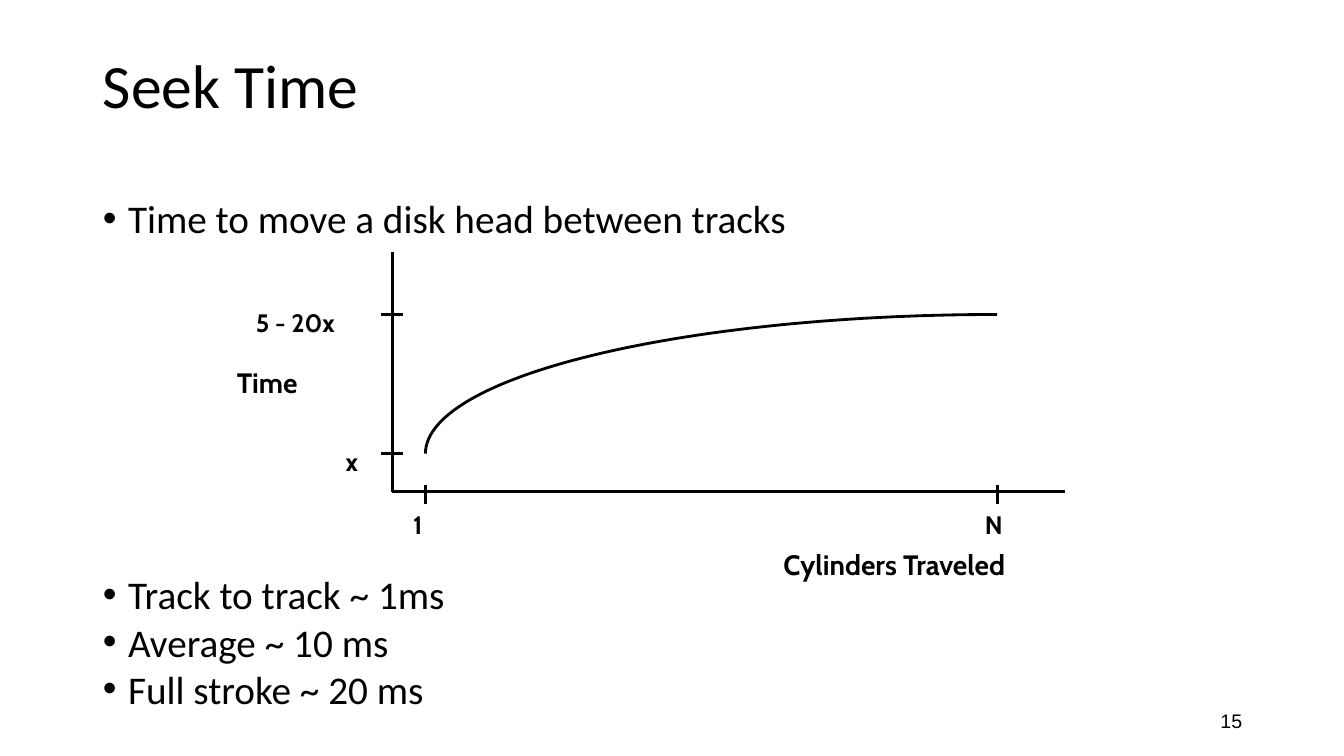
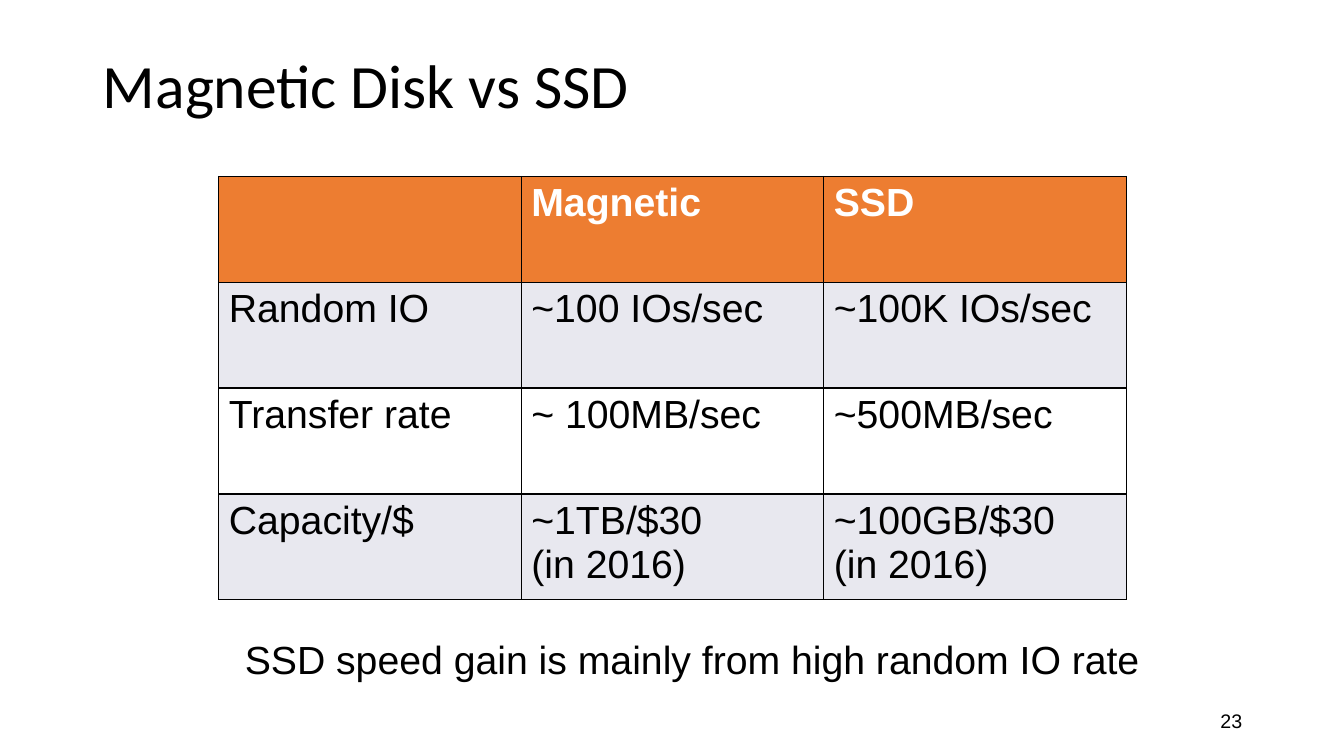
from math import cos, pi, sin

from lxml import etree
from pptx import Presentation
from pptx.dml.color import RGBColor
from pptx.enum.shapes import MSO_CONNECTOR
from pptx.enum.text import MSO_ANCHOR, MSO_AUTO_SIZE, PP_ALIGN
from pptx.oxml.ns import qn
from pptx.util import Inches, Pt

BLACK = RGBColor(0x00, 0x00, 0x00)
WHITE = RGBColor(0xFF, 0xFF, 0xFF)
ORANGE = RGBColor(0xED, 0x7D, 0x31)
PALE_GREY = RGBColor(0xE8, 0xE8, 0xEF)

STRAIGHT = MSO_CONNECTOR.STRAIGHT
LEFT, RIGHT = PP_ALIGN.LEFT, PP_ALIGN.RIGHT
TOP, MIDDLE = MSO_ANCHOR.TOP, MSO_ANCHOR.MIDDLE
NO_FIT = MSO_AUTO_SIZE.NONE

LINE_WIDTH = Pt(2)
BULLET_LINE = 33.6
TITLE_LAYOUT, LIST_LAYOUT = 5, 1

TITLE = {"name": "Calibri", "size": Pt(44), "color": BLACK}
BODY = {"name": "Calibri", "size": Pt(28), "color": BLACK}
TICK_LABEL = {"name": "Cabin", "size": Pt(18), "color": BLACK, "bold": True}
AXIS_LABEL = {**TICK_LABEL, "size": Pt(20)}
PAGE_NUMBER = {"name": "Arial", "size": Pt(14), "color": BLACK}
CELL = {"name": "Arial", "size": Pt(28), "color": BLACK, "bold": False}
HEADER_CELL = {**CELL, "color": WHITE, "bold": True}


class Deck:
    def __init__(self):
        self.deck = Presentation()
        self.deck.slide_width = Inches(13.33)
        self.deck.slide_height = Inches(7.5)
        self.page = None

    def add_page(self, layout, title, number):
        self.page = self.deck.slides.add_slide(self.deck.slide_layouts[layout])
        box = self.page.shapes.title
        self.place(box, 0.92, 0.33, 11.5, 1.09)
        self.fill_text(box.text_frame, title, TITLE, anchor=MIDDLE)
        box.text_frame.paragraphs[0].line_spacing = 0.9
        self.label(number, 9.42, 6.95, 3, 0.4, PAGE_NUMBER, RIGHT, MIDDLE)

    def place(self, box, left, top, width, height):
        box.left, box.top = Inches(left), Inches(top)
        box.width, box.height = Inches(width), Inches(height)

    def format_font(self, para, style):
        for span in para.runs:
            for key, value in style.items():
                if key == "color":
                    span.font.color.rgb = value
                else:
                    setattr(span.font, key, value)

    def fill_text(self, frame, text, style, align=LEFT, anchor=TOP):
        frame.word_wrap = True
        frame.auto_size = NO_FIT
        frame.vertical_anchor = anchor
        para = frame.paragraphs[0]
        para.text = text
        para.alignment = align
        self.format_font(para, style)

    def label(self, text, left, top, width, height, style, align=LEFT, anchor=TOP):
        sides = [Inches(side) for side in (left, top, width, height)]
        box = self.page.shapes.add_textbox(*sides)
        self.fill_text(box.text_frame, text, style, align, anchor)

    def bullets(self, items, left, top, width, height):
        box = self.page.placeholders[1]
        self.place(box, left, top, width, height)
        frame = box.text_frame
        frame.auto_size = NO_FIT
        frame.vertical_anchor = TOP
        for index, (text, skipped_lines) in enumerate(items):
            para = frame.add_paragraph() if index else frame.paragraphs[0]
            para.text = text
            para.line_spacing = Pt(BULLET_LINE)
            para.space_before = Pt(BULLET_LINE * skipped_lines)
            para.space_after = Pt(0)
            properties = para._p.get_or_add_pPr()
            properties.set("marL", str(Inches(0.25)))
            properties.set("indent", str(-Inches(0.25)))
            etree.SubElement(properties, qn("a:buFont"), typeface="Arial")
            etree.SubElement(properties, qn("a:buChar"), char="•")
            self.format_font(para, BODY)

    def line(self, *ends):
        connector = self.page.shapes.add_connector(STRAIGHT, *[Inches(end) for end in ends])
        connector.line.color.rgb = BLACK
        connector.line.width = LINE_WIDTH
        etree.SubElement(connector._element.spPr, qn("a:effectLst"))

    def curve(self, points):
        start, *rest = [(Inches(x), Inches(y)) for x, y in points]
        builder = self.page.shapes.build_freeform(*start)
        builder.add_line_segments(rest, close=False)
        outline = builder.convert_to_shape()
        outline.fill.background()
        outline.line.color.rgb = BLACK
        outline.line.width = LINE_WIDTH
        outline.shadow.inherit = False

    def cell_borders(self, cell):
        properties = cell._tc.get_or_add_tcPr()
        for side in ("lnL", "lnR", "lnT", "lnB"):
            border = etree.SubElement(properties, qn(f"a:{side}"), w=str(Pt(1)))
            fill = etree.SubElement(border, qn("a:solidFill"))
            etree.SubElement(fill, qn("a:srgbClr"), val=str(BLACK))

    def table(self, rows, left, top, column_width, row_height):
        columns = len(rows[0])
        table = self.page.shapes.add_table(
            len(rows), columns, Inches(left), Inches(top),
            Inches(column_width * columns), Inches(row_height * len(rows))).table
        for row_index, row in enumerate(rows):
            style = CELL if row_index else HEADER_CELL
            band = PALE_GREY if row_index % 2 else WHITE
            for column_index, text in enumerate(row):
                cell = table.cell(row_index, column_index)
                cell.text = text
                for para in cell.text_frame.paragraphs:
                    self.format_font(para, style)
                self.cell_borders(cell)
                cell.fill.solid()
                cell.fill.fore_color.rgb = band if row_index else ORANGE


def seek_time(deck):
    deck.add_page(LIST_LAYOUT, "Seek Time", "15")
    deck.bullets([
        ("Time to move a disk head between tracks", 0),
        ("Track to track ~ 1ms", 7),
        ("Average ~ 10 ms", 0),
        ("Full stroke ~ 20 ms", 0),
    ], 0.92, 1.88, 11.5, 5.22)

    axis_x, axis_y = 3.89, 4.88
    first_x, last_x = 4.22, 9.89
    high_y, low_y = 3.12, 4.5
    deck.line(axis_x, 2.5, axis_x, axis_y)
    deck.line(axis_x, axis_y, 10.56, axis_y)
    for x in (first_x, last_x):
        deck.line(x, 4.81, x, 5)
    for y in (high_y, low_y):
        deck.line(3.78, y, 4, y)

    steps = 60
    angles = [pi / 2 * step / steps for step in range(steps + 1)]
    deck.curve([(last_x - (last_x - first_x) * cos(angle),
                 low_y - (low_y - high_y) * sin(angle)) for angle in angles])

    for text, left, top, width in (
            ("5 - 20x", 2.44, 3, 1.09), ("x", 3.33, 4.38, 0.35),
            ("1", 4, 5, 0.36), ("N", 9.67, 5, 0.4)):
        deck.label(text, left, top, width, 0.4, TICK_LABEL)
    deck.label("Cylinders Traveled", 7.67, 5.38, 2.81, 0.44, AXIS_LABEL)
    deck.label("Time", 2.25, 3.58, 0.89, 0.44, AXIS_LABEL)


def disk_comparison(deck):
    deck.add_page(TITLE_LAYOUT, "Magnetic Disk vs SSD", "23")
    deck.table([
        ("", "Magnetic", "SSD"),
        ("Random IO", "~100 IOs/sec", "~100K IOs/sec"),
        ("Transfer rate", "~ 100MB/sec", "~500MB/sec"),
        ("Capacity/$", "~1TB/$30\v(in 2016)", "~100GB/$30\v(in 2016)"),
    ], 2.17, 1.75, 3, 1.05)
    deck.label("SSD speed gain is mainly from high random IO rate",
               2.33, 6.25, 9.17, 0.57, CELL)


def main():
    deck = Deck()
    seek_time(deck)
    disk_comparison(deck)
    deck.deck.save("out.pptx")


if __name__ == "__main__":
    main()
